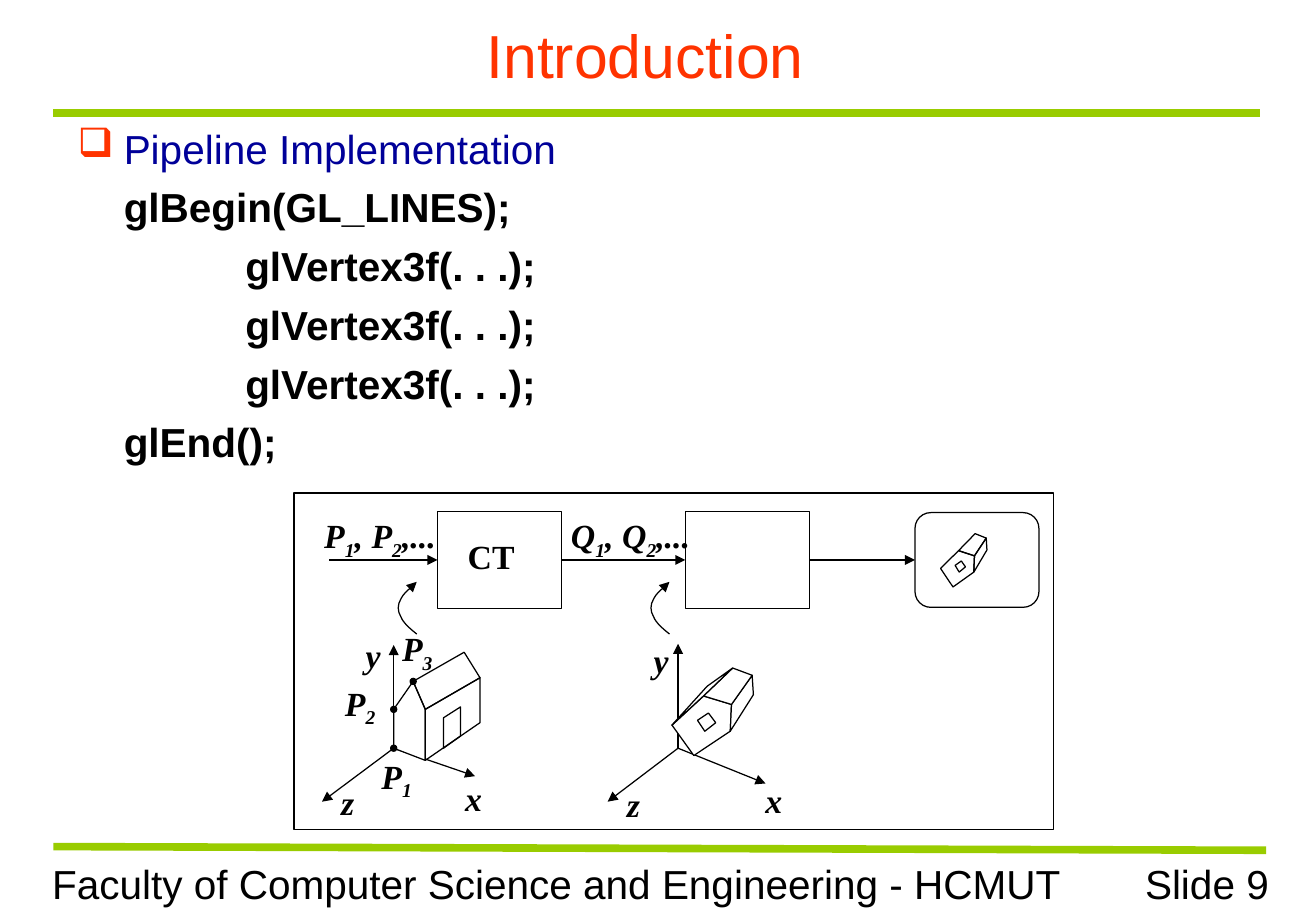
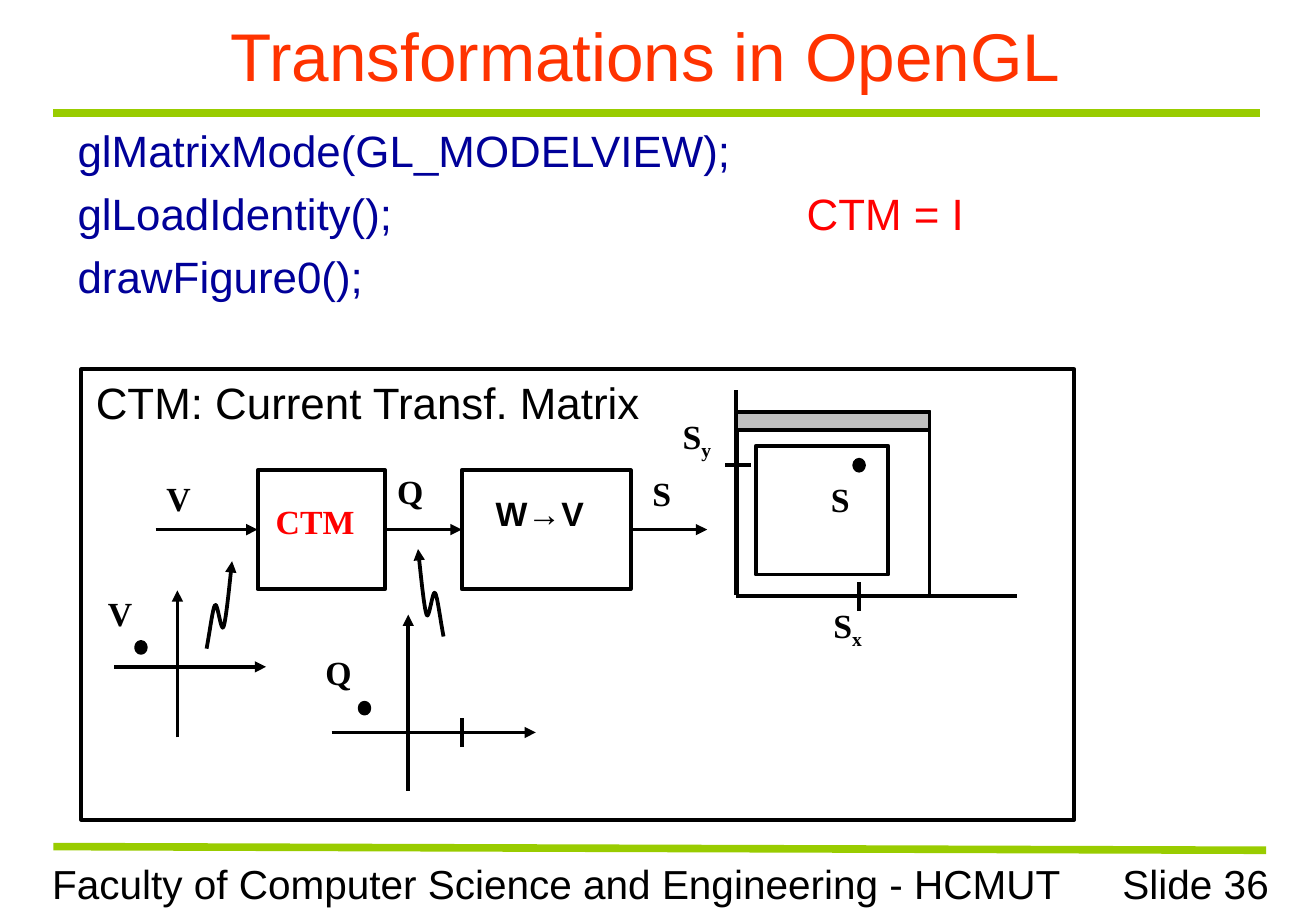
"""Build two lecture slides on the OpenGL transformation pipeline."""
from dataclasses import dataclass

from lxml.etree import SubElement
from pptx import Presentation
from pptx.dml.color import RGBColor
from pptx.enum.shapes import MSO_CONNECTOR, MSO_SHAPE
from pptx.enum.text import MSO_ANCHOR, PP_ALIGN
from pptx.oxml.ns import qn
from pptx.util import Inches, Pt


@dataclass(frozen=True)
class Theme:
    """Colours, fonts and type sizes."""
    black: str = "000000"
    white: str = "FFFFFF"
    grey: str = "C0C0C0"
    green: str = "99CC00"
    orange: str = "FF3300"
    navy: str = "000099"
    red: str = "FF0000"
    sans: str = "Arial"
    serif: str = "Times New Roman"
    label: int = 20
    text: int = 24
    large: int = 26
    title: int = 36
    big_title: int = 40
    band: float = 4.5
    thin: float = 0.75
    thick: float = 2.25


THEME = Theme()


class Deck:
    """Draw styled elements on the current slide."""

    def __init__(self):
        self.presentation = Presentation()
        self.presentation.slide_width = Inches(10.83)
        self.presentation.slide_height = Inches(7.5)

    def start(self, title, size, number, weight):
        layout = self.presentation.slide_layouts[6]
        self.shapes = self.presentation.slides.add_slide(layout).shapes
        self.weight = weight
        self.line((0.44, 0.93), (10.37, 0.93), THEME.green, THEME.band)
        self.line((0.44, 6.97), (10.42, 7), THEME.green, THEME.band)
        self.text((8.55, 7.02, 1.99, 0.5), f"Slide {number}", align=PP_ALIGN.RIGHT)
        self.text((0.33, 7.02, 8.52, 0.5),
                  "Faculty of Computer Science and Engineering - HCMUT")
        heading = self.text((0.33, 0.1, 9.96, 0.7), title, size, THEME.orange,
                            align=PP_ALIGN.CENTER)
        heading.vertical_anchor = MSO_ANCHOR.MIDDLE

    def format(self, run, size, color, font=THEME.sans, bold=False, italic=False):
        run.font.name = font
        run.font.size = Pt(size)
        run.font.bold = bold
        run.font.italic = italic
        run.font.color.rgb = RGBColor.from_string(color)

    def text(self, at, content, size=THEME.text, color=THEME.black,
             align=PP_ALIGN.LEFT, **style):
        frame = self.shapes.add_textbox(*map(Inches, at)).text_frame
        frame.word_wrap = True
        frame.text = content
        for paragraph in frame.paragraphs:
            paragraph.alignment = align
            for run in paragraph.runs:
                self.format(run, size, color, **style)
        return frame

    def body(self, height, content, size):
        frame = self.text((0.54, 0.97, 9.75, height), content, size, THEME.navy)
        for paragraph in frame.paragraphs[1:]:
            paragraph.space_before = Pt(6)
        return frame.paragraphs

    def indent(self, paragraph, margin, first=0):
        properties = paragraph._p.get_or_add_pPr()
        properties.set("marL", str(Inches(margin)))
        properties.set("indent", str(Inches(first)))
        return properties

    def bullet(self, paragraph, margin):
        properties = self.indent(paragraph, margin, -margin)
        tint = SubElement(properties, qn("a:buClr"))
        SubElement(tint, qn("a:srgbClr"), val=THEME.orange)
        SubElement(properties, qn("a:buChar"), char="❑")

    def remark(self, paragraph, position, content, size):
        stops = SubElement(paragraph._p.get_or_add_pPr(), qn("a:tabLst"))
        SubElement(stops, qn("a:tab"), pos=str(Inches(position)), algn="l")
        run = paragraph.add_run()
        run.text = "\t" + content
        self.format(run, size, THEME.red)

    def label(self, at, content, color=THEME.black, font=THEME.serif, italic=False):
        """Write a bold label whose subscripts stand between bars."""
        base, *rest = content.split("|")
        style = dict(font=font, bold=True, italic=italic)
        frame = self.text(at, base, THEME.label, color, **style)
        for index, part in enumerate(rest):
            run = frame.paragraphs[0].add_run()
            run.text = part
            self.format(run, THEME.label, color, **style)
            if index % 2 == 0:
                run._r.get_or_add_rPr().set("baseline", "-25000")

    def stroke(self, item, color=THEME.black, weight=None, arrow=False):
        item.line.color.rgb = RGBColor.from_string(color)
        item.line.width = Pt(weight or self.weight)
        if arrow:
            SubElement(item.line._get_or_add_ln(), qn("a:tailEnd"), type="triangle")

    def paint(self, shape, fill=None, arrow=False):
        shape.shadow.inherit = False
        if fill:
            shape.fill.solid()
            shape.fill.fore_color.rgb = RGBColor.from_string(fill)
        else:
            shape.fill.background()
        self.stroke(shape, arrow=arrow)
        return shape

    def line(self, start, end, color=THEME.black, weight=None, arrow=False):
        connector = self.shapes.add_connector(
            MSO_CONNECTOR.STRAIGHT, *map(Inches, (*start, *end)))
        self.stroke(connector, color, weight, arrow)
        SubElement(connector._element.spPr, qn("a:effectLst"))
        return connector

    def arrow(self, start, end):
        return self.line(start, end, arrow=True)

    def flow(self, start, end, source=None, target=None):
        """Draw an arrow glued to the right of source and the left of target."""
        connector = self.arrow(start, end)
        if source:
            connector.begin_connect(source, 3)
        if target:
            connector.end_connect(target, 1)

    def box(self, at, fill=None, kind=MSO_SHAPE.RECTANGLE):
        return self.paint(self.shapes.add_shape(kind, *map(Inches, at)), fill)

    def dot(self, center, width, height):
        x, y = center
        self.box((x - width / 2, y - height / 2, width, height),
                 THEME.black, MSO_SHAPE.OVAL)

    def outline(self, points, fill=None, closed=True, arrow=False):
        (x, y), *rest = [(Inches(px), Inches(py)) for px, py in points]
        builder = self.shapes.build_freeform(x, y)
        builder.add_line_segments(rest, close=closed)
        return self.paint(builder.convert_to_shape(), fill, arrow)

    def curve(self, origin, offsets, flip=1):
        """Draw a Bezier arrow from offsets, three per segment."""
        points = [(origin[0] + flip * dx, origin[1] + dy) for dx, dy in offsets]
        shape = self.outline([origin, *points], closed=False, arrow=True)
        trace = shape._element.find(".//" + qn("a:path"))
        steps = trace.findall(qn("a:lnTo"))
        for first in range(0, len(steps), 3):
            bezier = SubElement(trace, qn("a:cubicBezTo"))
            for step in steps[first:first + 3]:
                bezier.append(step[0])
                trace.remove(step)


def introduction(deck):
    """Show the pipeline that turns a house into its projection."""
    deck.start("Introduction", THEME.title, 9, THEME.thin)
    heading, *code = deck.body(2.87, "\n".join((
        "Pipeline Implementation", "glBegin(GL_LINES);",
        *["glVertex3f(. . .);"] * 3, "glEnd();")), THEME.text)
    deck.bullet(heading, 0.38)
    for paragraph in code:
        deck.indent(paragraph, 1.38 if "Vertex" in paragraph.text else 0.38)
        deck.format(paragraph.runs[0], THEME.text, THEME.black, bold=True)

    deck.box((2.42, 4.06, 6.25, 2.77))
    transform, projection = [deck.box((x, 4.21, 1.02, 0.8)) for x in (3.6, 5.64)]
    screen = deck.box((7.53, 4.22, 1.02, 0.78), THEME.white, MSO_SHAPE.ROUNDED_RECTANGLE)
    flow_y = 4.61
    deck.flow((2.71, flow_y), (3.6, flow_y), target=transform)
    deck.flow((4.62, flow_y), (5.64, flow_y), transform, projection)
    deck.flow((6.66, flow_y), (7.53, flow_y), projection, screen)

    for origin, tips in (
            ((3.24, 6.16), ((3.24, 5.31), (3.91, 6.39), (2.65, 6.6))),
            ((5.58, 6.16), ((5.58, 5.3), (6.3, 6.45), (5, 6.6)))):
        for tip in tips:
            deck.arrow(origin, tip)

    base, eave, ridge = (3.24, 6.16), (3.24, 5.84), (3.4, 5.61)
    corner, far_ridge, far_eave = (3.5, 5.84), (3.82, 5.37), (3.95, 5.58)
    deck.outline([eave, base, (3.5, 6.26), corner, ridge], THEME.white)
    deck.outline([corner, far_eave, (3.95, 5.95), (3.5, 6.26)])
    deck.outline([ridge, far_ridge, far_eave, corner])
    deck.outline([(3.65, 5.91), (3.79, 5.82), (3.79, 6.06), (3.65, 6.16)])
    for vertex in (base, eave, ridge):
        deck.dot(vertex, 0.05, 0.05)

    left, top, right = (5.53, 5.97), (5.79, 5.73), (6.02, 5.8)
    low, far_top, far_right = (6.01, 6.02), (6.03, 5.5), (6.19, 5.56)
    faces = (
        [left, top, right, low, (5.71, 6.22)],
        [right, far_right, (6.2, 5.72), low],
        [top, far_top, far_right, right],
        [(5.8, 6.02), (5.89, 5.95), (5.83, 5.87), (5.74, 5.93)])
    for face in faces:
        deck.outline(face, THEME.white)
        deck.outline([(7.74 + 0.57 * (x - left[0]), 4.68 + 0.61 * (y - left[1]))
                      for x, y in face])
    deck.outline([left, (5.82, 5.65), far_top, top], THEME.white)

    for x, y, name in ((3.73, 6.35, "x"), (6.2, 6.37, "x"), (5.28, 5.22, "y"),
                       (2.91, 5.18, "y"), (5.06, 6.4, "z"), (2.71, 6.39, "z")):
        deck.label((x, y, 0.44, 0.44), name, italic=True)
    for x, y, width, name in (
            (3.21, 5.12, 0.69, "P|3"), (3.04, 6.17, 0.63, "P|1"),
            (2.74, 5.57, 0.66, "P|2"), (2.57, 4.19, 1.6, "P|1|, P|2|,..."),
            (4.6, 4.19, 1.49, "Q|1|, Q|2|,...")):
        deck.label((x, y, width, 0.44), name, italic=True)
    deck.label((3.75, 4.36, 0.68, 0.44), "CT")

    bend = ((-0.05, -0.04), (-0.11, -0.09), (-0.13, -0.14),
            (-0.16, -0.19), (-0.16, -0.24), (-0.13, -0.29),
            (-0.11, -0.33), (-0.02, -0.41), (0, -0.43))
    for x in (3.43, 5.51):
        deck.curve((x, 5.22), bend)


def transformations(deck):
    """Show how the current transformation matrix acts on a vertex."""
    deck.start("Transformations in OpenGL", THEME.big_title, 36, THEME.thick)
    code = deck.body(1.76, "glMatrixMode(GL_MODELVIEW);\nglLoadIdentity();\n"
                           "drawFigure0();", THEME.large)
    deck.remark(code[1], 6, "CTM = I", THEME.large)

    deck.box((0.67, 3.04, 8.17, 3.71))
    for start, end in (((0.94, 5.49), (2.19, 5.49)), ((1.46, 6.07), (1.46, 4.86)),
                       ((2.73, 6.03), (4.41, 6.03)), ((3.36, 6.51), (3.36, 5.06))):
        deck.arrow(start, end)

    matrix = deck.box((2.12, 3.87, 1.05, 0.98))
    viewport = deck.box((3.8, 3.87, 1.39, 0.98))
    flow_y = 4.36
    deck.flow((1.28, flow_y), (2.12, flow_y), target=matrix)
    deck.flow((3.17, flow_y), (3.8, flow_y), matrix, viewport)
    deck.flow((5.19, flow_y), (5.82, flow_y), viewport)

    deck.box((6.22, 3.67, 1.09, 1.06))
    deck.box((6.07, 3.39, 1.58, 1.52))
    deck.box((6.06, 3.39, 1.59, 0.15), THEME.grey)
    for start, end in (((6.06, 4.91), (8.37, 4.91)), ((6.06, 4.9), (6.06, 3.21)),
                       ((3.8, 6.15), (3.8, 5.91)), ((7.07, 5.03), (7.07, 4.79)),
                       ((6.18, 3.83), (5.97, 3.83))):
        deck.line(start, end)
    for center in ((3, 5.83), (1.16, 5.33), (7.07, 3.83)):
        deck.dot(center, 0.08, 0.09)

    wave = ((0.03, -0.16), (0.05, -0.33), (0.07, -0.36),
            (0.09, -0.39), (0.12, -0.12), (0.14, -0.18),
            (0.16, -0.24), (0.2, -0.63), (0.21, -0.72))
    deck.curve((1.7, 5.34), wave)
    deck.curve((3.65, 5.24), wave, flip=-1)

    for x, y, name in ((0.79, 4.83, "V"), (1.27, 3.88, "V"), (2.58, 5.32, "Q"),
                       (5.27, 3.84, "S"), (6.74, 3.89, "S")):
        deck.label((x, y, 0.42, 0.48), name)
    for x, y, name in ((3.17, 3.83, "Q"), (5.52, 3.37, "S|y"), (6.76, 4.93, "S|x")):
        deck.label((x, y, 0.63, 0.73), name)
    deck.label((2.17, 4.07, 0.92, 0.48), "CTM", THEME.red)
    deck.label((3.98, 4.01, 1.02, 0.74), "W→V", font=THEME.sans)
    deck.text((0.69, 3.04, 4.89, 0.54), "CTM: Current Transf. Matrix", THEME.large)


def main():
    """Build and save both slides."""
    deck = Deck()
    introduction(deck)
    transformations(deck)
    deck.presentation.save("out.pptx")


if __name__ == "__main__":
    main()
